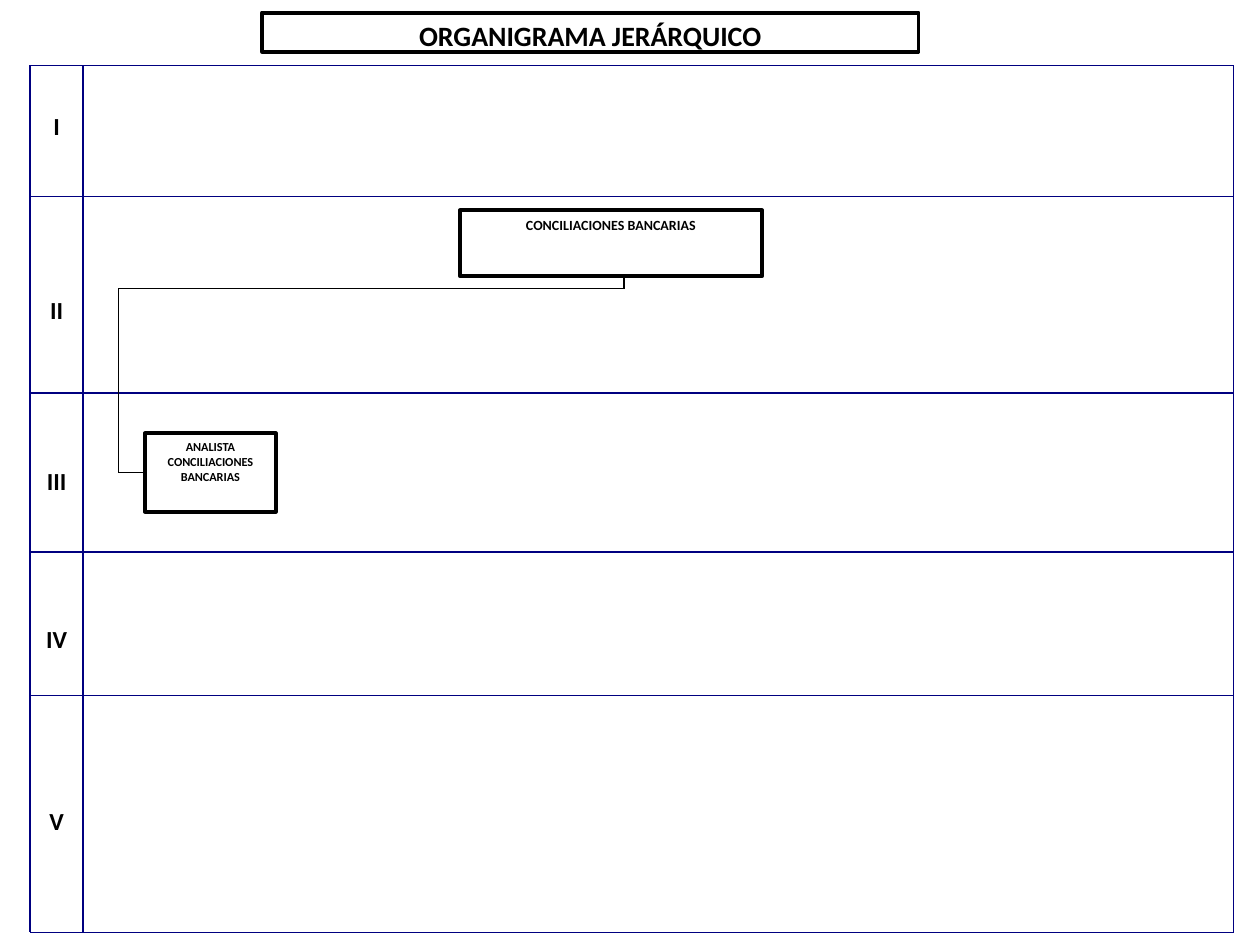
from dataclasses import dataclass

import pptx
import pptx.dml.color
import pptx.enum.shapes
import pptx.enum.text
import pptx.oxml.ns
import pptx.util
from lxml import etree
from pptx.util import Inches

COLORS = {"ink": "000000", "grid": "000080", "paper": "FFFFFF"}
FONT = "Calibri"


@dataclass(frozen=True)
class Box:
    text: str
    left: float
    top: float
    width: float
    height: float
    size: int
    framed: bool = True


@dataclass(frozen=True)
class Level:
    numeral: str
    top: float
    label_top: float


@dataclass(frozen=True)
class Line:
    x1: float
    y1: float
    x2: float
    y2: float
    color: str


def rgb(name: str) -> pptx.dml.color.RGBColor:
    return pptx.dml.color.RGBColor.from_string(COLORS[name])


def draw_box(page, box: Box):
    """Draw centred bold text, in a framed rectangle or a plain text box."""
    area = [Inches(v) for v in (box.left, box.top, box.width, box.height)]
    if box.framed:
        shape = page.shapes.add_shape(
            pptx.enum.shapes.MSO_SHAPE.RECTANGLE, *area)
        shape.shadow.inherit = False
        shape.fill.solid()
        shape.fill.fore_color.rgb = rgb("paper")
        shape.line.color.rgb = rgb("ink")
        shape.line.width = pptx.util.Pt(2.25)
    else:
        shape = page.shapes.add_textbox(*area)
    frame = shape.text_frame
    frame.word_wrap = True
    frame.vertical_anchor = pptx.enum.text.MSO_ANCHOR.TOP
    para = frame.paragraphs[0]
    para.alignment = pptx.enum.text.PP_ALIGN.CENTER
    span = para.add_run()
    span.text = box.text
    span.font.name = FONT
    span.font.size = pptx.util.Pt(box.size)
    span.font.bold = True
    span.font.color.rgb = rgb("ink")
    return shape


def draw_line(page, line: Line):
    connector = page.shapes.add_connector(
        pptx.enum.shapes.MSO_CONNECTOR.STRAIGHT,
        *(Inches(v) for v in (line.x1, line.y1, line.x2, line.y2)))
    connector.line.color.rgb = rgb(line.color)
    connector.line.width = pptx.util.Pt(1)
    etree.SubElement(connector._element.spPr,
                     pptx.oxml.ns.qn("a:effectLst"))
    return connector


# Level grid
GRID_LEFT, LABEL_RIGHT, GRID_RIGHT, GRID_BOTTOM = 0.24, 0.66, 9.79, 7.4
LEVELS = [
    Level("I", 0.52, 0.83),
    Level("II", 1.56, 2.29),
    Level("III", 3.12, 3.65),
    Level("IV", 4.38, 4.9),
    Level("V", 5.52, 6.35),
]

# Chart boxes
TITLE = Box("ORGANIGRAMA JERÁRQUICO", 2.08, 0.1, 5.21, 0.31, 16)
HEAD = Box("CONCILIACIONES BANCARIAS", 3.65, 1.67, 2.4, 0.52, 8)
ANALYST = Box("ANALISTA CONCILIACIONES BANCARIAS",
              1.15, 3.44, 1.04, 0.62, 7)

# Route from the head to the analyst
DROP_X, BUS_Y, TRUNK_X = 4.95, 2.29, 0.94


def main() -> None:
    deck = pptx.Presentation()
    deck.slide_width, deck.slide_height = Inches(10), Inches(7.5)
    page = deck.slides.add_slide(deck.slide_layouts[6])

    # Grid lines and level numerals
    for y in [level.top for level in LEVELS] + [GRID_BOTTOM]:
        draw_line(page, Line(GRID_LEFT, y, GRID_RIGHT, y, "grid"))
    for x in (GRID_LEFT, LABEL_RIGHT, GRID_RIGHT):
        draw_line(page, Line(x, LEVELS[0].top, x, GRID_BOTTOM, "grid"))
    for level in LEVELS:
        draw_box(page, Box(level.numeral, GRID_LEFT, level.label_top,
                           LABEL_RIGHT - GRID_LEFT, 0.31, 14, framed=False))

    # Title and positions
    draw_box(page, TITLE)
    draw_box(page, HEAD)
    analyst = draw_box(page, ANALYST)

    # Connecting lines
    analyst_y = ANALYST.top + ANALYST.height / 2
    draw_line(page, Line(DROP_X, HEAD.top + HEAD.height,
                         DROP_X, BUS_Y, "ink"))
    draw_line(page, Line(TRUNK_X, BUS_Y, DROP_X, BUS_Y, "ink"))
    draw_line(page, Line(TRUNK_X, BUS_Y, TRUNK_X, analyst_y, "ink"))
    branch = draw_line(page, Line(TRUNK_X, analyst_y,
                                  ANALYST.left, analyst_y, "ink"))
    branch.end_connect(analyst, 1)

    deck.save("out.pptx")


if __name__ == "__main__":
    main()
